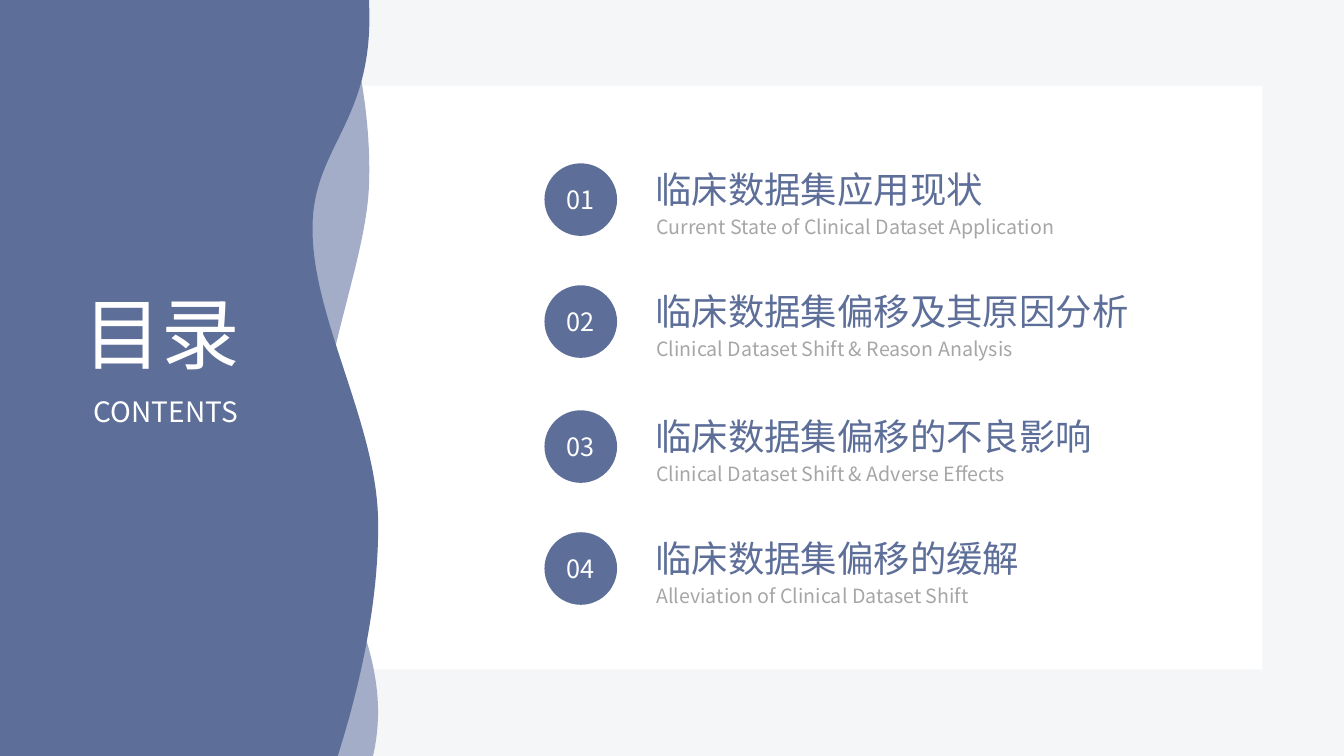
"""Build the contents slide of a talk on clinical dataset shift."""
from lxml.etree import Element, SubElement
from pptx import Presentation
from pptx.dml.color import RGBColor
from pptx.enum.shapes import MSO_SHAPE
from pptx.enum.text import MSO_ANCHOR, MSO_AUTO_SIZE, PP_ALIGN
from pptx.oxml.ns import qn
from pptx.util import Inches, Pt

FONT = "Noto Sans CJK SC"
COLORS = {"bg": "F5F6F8", "panel": "FFFFFF", "main": "5D6E99",
          "light": "A3ADC8", "note": "A6A6A6"}
TITLE, SUBTITLE = "目录", "CONTENTS"
ITEMS = [
    (1.62, "临床数据集应用现状", "Current State of Clinical Dataset Application"),
    (2.83, "临床数据集偏移及其原因分析", "Clinical Dataset Shift & Reason Analysis"),
    (4.07, "临床数据集偏移的不良影响", "Clinical Dataset Shift & Adverse Effects"),
    (5.28, "临床数据集偏移的缓解", "Alleviation of Clinical Dataset Shift"),
]
LIGHT_WAVE = [
    [(3.7, 7.5)], [(2.83, 7.5)], [(2.83, 0.01)], [(3.36, 0)],
    [(3.49, 0.24), (3.69, 1.06), (3.66, 1.84)],
    [(3.63, 2.62), (3.15, 3.64), (3.17, 4.66)],
    [(3.18, 5.67), (3.95, 6.41), (3.7, 7.5)],
]
DARK_WAVE = [
    [(0, 0)], [(3.66, 0)], [(3.66, 0.02)],
    [(3.72, 1.23), (3.08, 1.45), (3.1, 2.3)],
    [(3.11, 3.18), (3.74, 4.22), (3.75, 5.17)],
    [(3.76, 5.89), (3.6, 6.68), (3.39, 7.37)],
    [(3.35, 7.5)], [(0, 7.5)],
]
CIRCLE_X, CIRCLE_D = 5.4, 0.72
TEXT_X, TEXT_W = 6.4, 5.12
UNITS = 1000


def color(name):
    return RGBColor.from_string(COLORS[name])


def paint(sp, name):
    sp.shadow.inherit = False
    sp.fill.solid()
    sp.fill.fore_color.rgb = color(name)
    sp.line.fill.background()


def write(sp, text, size, name, align=PP_ALIGN.LEFT):
    tf = sp.text_frame
    tf.word_wrap = True
    p = tf.paragraphs[0]
    p.alignment = align
    r = p.add_run()
    r.text = text
    r.font.size = Pt(size)
    r.font.name = FONT
    r.font.color.rgb = color(name)
    SubElement(r.font._element, qn("a:ea"), typeface=FONT)
    return tf


def add_text(s, box, *style):
    sp = s.shapes.add_textbox(*map(Inches, box))
    write(sp, *style).auto_size = MSO_AUTO_SIZE.SHAPE_TO_FIT_TEXT


def add_wave(s, segments, name):
    ends = [(round(x * UNITS), round(y * UNITS))
            for x, y in (segment[-1] for segment in segments)]
    left, top = (min(axis) for axis in zip(*ends))
    builder = s.shapes.build_freeform(*ends[0], scale=Inches(1) / UNITS)
    builder.add_line_segments(ends[1:], close=True)
    wave = builder.convert_to_shape()
    paint(wave, name)
    lines = list(wave._element.iter(qn("a:lnTo")))
    for line, segment in zip(lines, segments[1:]):
        if len(segment) == 3:
            curve = Element(qn("a:cubicBezTo"))
            for x, y in segment:
                SubElement(curve, qn("a:pt"), x=str(round(x * UNITS) - left),
                           y=str(round(y * UNITS) - top))
            line.getparent().replace(line, curve)


def add_item(s, number, top, heading, note):
    add_text(s, (TEXT_X, top - 0.01, TEXT_W, 0.54), heading, 26, "main")
    circle = s.shapes.add_shape(
        MSO_SHAPE.OVAL, *map(Inches, (CIRCLE_X, top, CIRCLE_D, CIRCLE_D)))
    paint(circle, "main")
    tf = write(circle, f"{number:02d}", 18, "panel", PP_ALIGN.CENTER)
    tf.vertical_anchor = MSO_ANCHOR.MIDDLE
    tf.margin_left = tf.margin_right = tf.margin_top = tf.margin_bottom = 0
    add_text(s, (TEXT_X + 0.01, top + 0.46, TEXT_W, 0.34), note, 14, "note")


def main():
    prs = Presentation()
    prs.slide_width, prs.slide_height = Inches(13.33), Inches(7.5)
    s = prs.slides.add_slide(prs.slide_layouts[5])
    s.background.fill.solid()
    s.background.fill.fore_color.rgb = color("bg")

    panel = s.shapes.add_shape(
        MSO_SHAPE.RECTANGLE, *map(Inches, (0.85, 0.85, 11.67, 5.79)))
    paint(panel, "panel")
    add_wave(s, LIGHT_WAVE, "light")
    add_wave(s, DARK_WAVE, "main")

    for number, item in enumerate(ITEMS, 1):
        add_item(s, number, *item)

    add_text(s, (0.6, 3.86, 2.09, 0.44), SUBTITLE, 20, "panel", PP_ALIGN.CENTER)
    title = s.shapes.title
    title.left, title.top, title.width, title.height = map(
        Inches, (0.52, 2.78, 2.17, 1.04))
    tf = write(title, TITLE, 56, "panel", PP_ALIGN.CENTER)
    tf.vertical_anchor = MSO_ANCHOR.TOP
    tf.auto_size = MSO_AUTO_SIZE.SHAPE_TO_FIT_TEXT
    s.shapes._spTree.append(title._element)

    prs.save("out.pptx")


if __name__ == "__main__":
    main()
